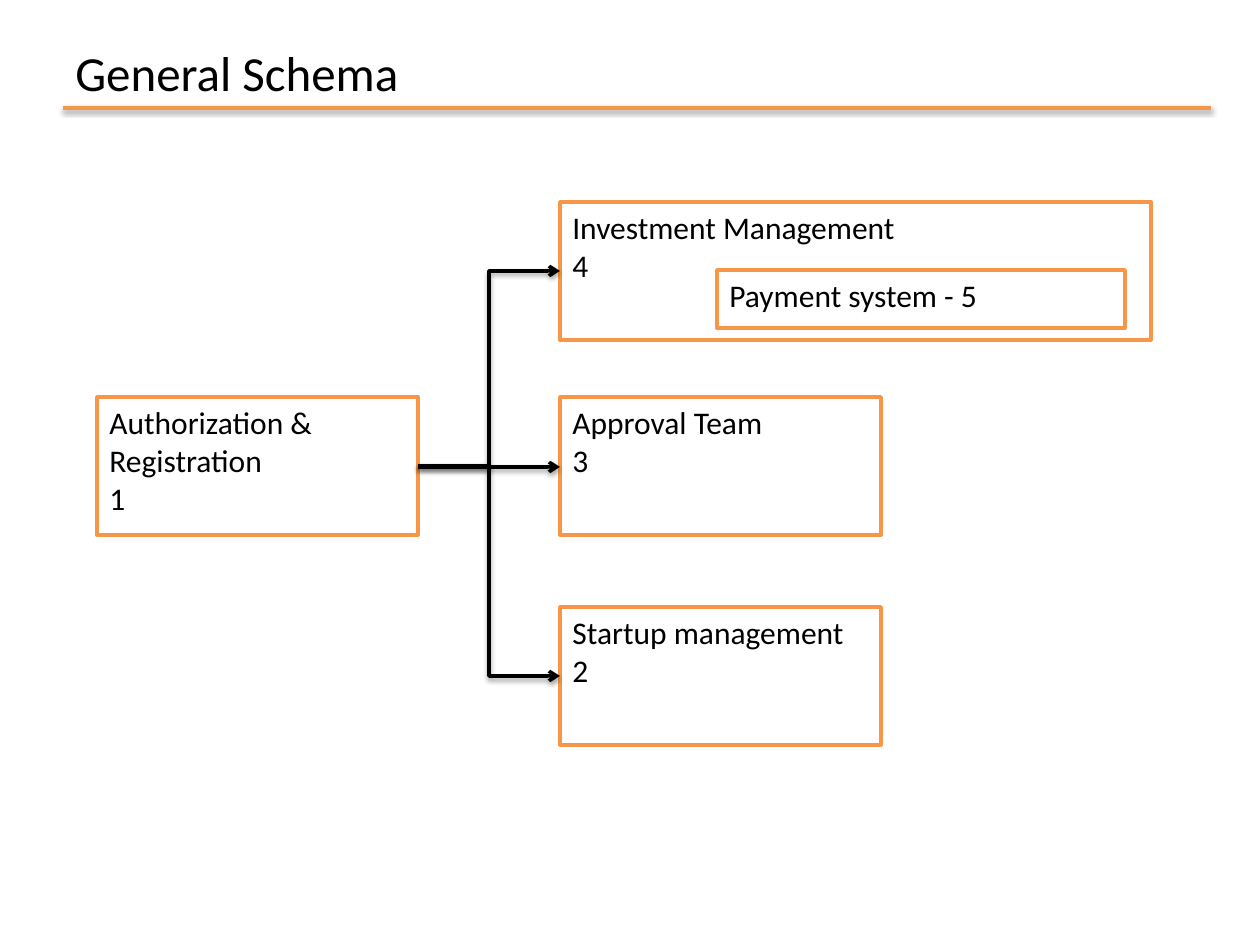
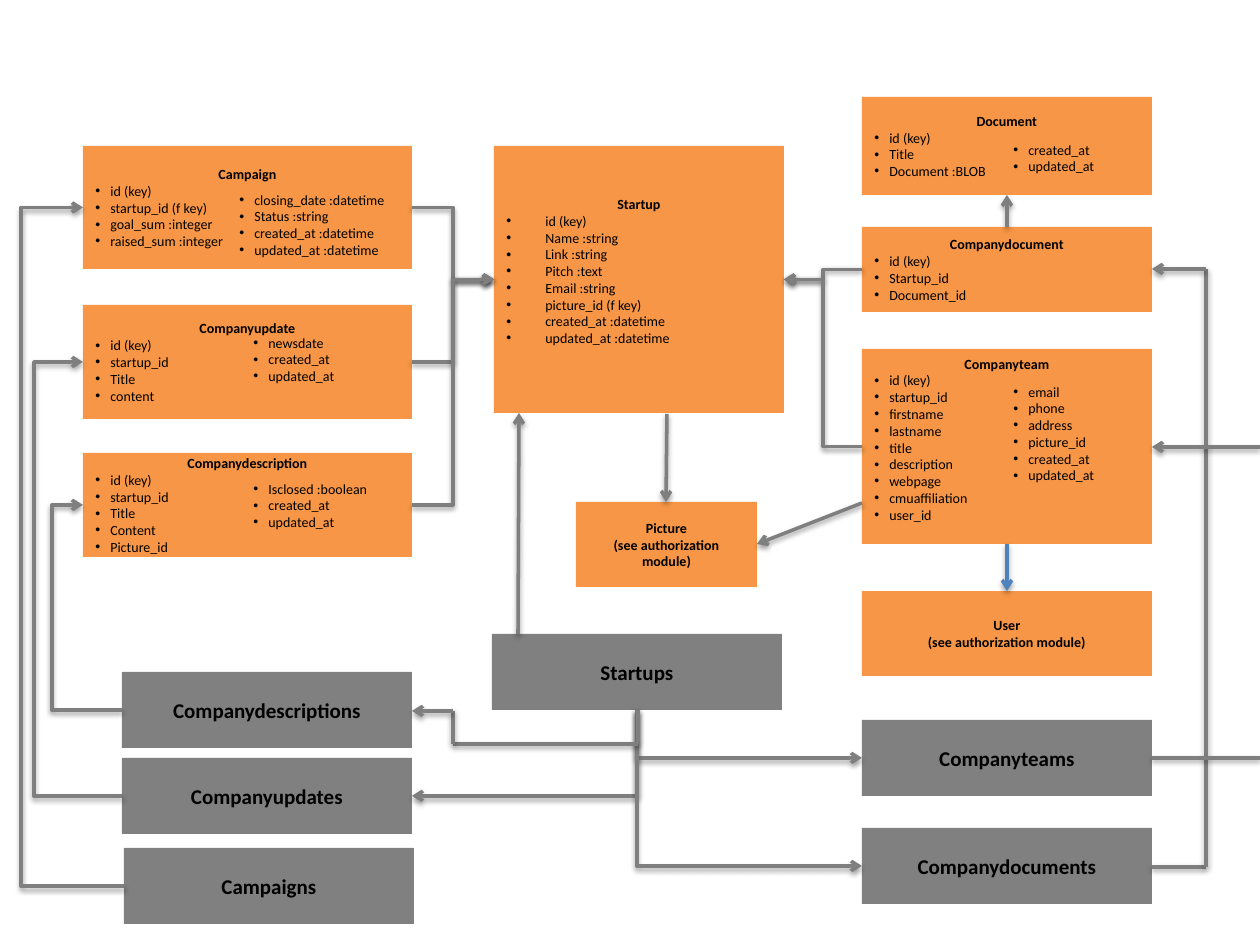
from pptx import Presentation
from pptx.dml.color import RGBColor
from pptx.enum.shapes import MSO_CONNECTOR as CONN, MSO_SHAPE as SHAPE
from pptx.enum.text import MSO_ANCHOR as ANCHOR, PP_ALIGN as ALIGN
from pptx.oxml import parse_xml
from pptx.oxml.ns import nsdecls, qn
from pptx.util import Pt

SCALE = 914400 // 126
ORANGE, GRAY, LINE_GRAY, BLUE, BLACK = "F79646", "808080", "7F7F7F", "4F81BD", "000000"
FONT = "Calibri"
LINE_H, PAD = 17, 6
TOP, LEFT, BOTTOM, RIGHT = range(4)

MODULES = {
    "auth": (97, 397, 321, ["Authorization & Registration", "1"]),
    "investment": (560, 202, 591, ["Investment Management", "4"]),
    "approval": (560, 397, 321, ["Approval Team", "3"]),
    "startup": (560, 607, 321, ["Startup management", "2"]),
}

ENTITIES = {
    "Campaign": (83, 146, 329, 123, ["id (key)", "startup_id (f key)", "goal_sum :integer",
                                     "raised_sum :integer"]),
    "Companyupdate": (83, 305, 329, 114, ["id (key)", "startup_id", "Title", "content"]),
    "Companydescription": (83, 453, 329, 104, ["id (key)", "startup_id", "Title", "Content",
                                               "Picture_id"]),
    "Document": (862, 97, 290, 98, ["id (key)", "Title", "Document :BLOB"]),
    "Companydocument": (862, 227, 290, 85, ["id (key)", "Startup_id", "Document_id"]),
    "Companyteam": (862, 349, 290, 195, ["id (key)", "startup_id", "firstname", "lastname",
                                         "title", "description", "webpage",
                                         "cmuaffiliation", "user_id"]),
}

SECOND_COLUMNS = [
    (227, 185, 174, ["closing_date :datetime", "Status :string", "created_at :datetime",
                     "updated_at :datetime"]),
    (241, 328, 171, ["newsdate", "created_at", "updated_at"]),
    (241, 474, 171, ["Isclosed :boolean", "created_at", "updated_at"]),
    (1001, 135, 151, ["created_at", "updated_at"]),
    (1001, 377, 151, ["email", "phone", "address", "picture_id", "created_at", "updated_at"]),
]

STARTUP_FIELDS = ["id (key)", "Name :string", "Link :string", "Pitch :text", "Email :string",
                  "picture_id (f key)", "created_at :datetime", "updated_at :datetime"]

CONTROLLERS = {
    "Startups": (492, 634),
    "Companydescriptions": (122, 672),
    "Companyupdates": (122, 758),
    "Campaigns": (124, 848),
    "Companyteams": (862, 720),
    "Companydocuments": (862, 828),
}


def px(n):
    """Turn picture pixels into EMU."""
    return int(n * SCALE)


def rgb(value):
    """Turn a hex string into a colour."""
    return RGBColor.from_string(value)


def add_line(tf, text, size, bold=False, align=ALIGN.LEFT, indent=0):
    """Append one paragraph, bulleted when it has an indent."""
    p = tf.paragraphs[0] if not tf.text else tf.add_paragraph()
    p.alignment = align
    r = p.add_run()
    r.text = text
    r.font.name, r.font.size, r.font.bold = FONT, Pt(size), bold
    r.font.color.rgb = rgb(BLACK)
    if indent:
        pPr = p._p.get_or_add_pPr()
        pPr.set("marL", str(px(indent)))
        pPr.set("indent", str(-px(indent)))
        pPr.append(parse_xml(f'<a:buFont {nsdecls("a")} typeface="Arial"/>'))
        pPr.append(parse_xml(f'<a:buChar {nsdecls("a")} char="•"/>'))


def add_box(s, x, y, w, h, fill=None, line=None):
    """Add a plain rectangle with a fill or an outline."""
    sp = s.shapes.add_shape(SHAPE.RECTANGLE, px(x), px(y), px(w), px(h))
    sp.shadow.inherit = False
    if fill:
        sp.fill.solid()
        sp.fill.fore_color.rgb = rgb(fill)
    else:
        sp.fill.background()
    if line:
        sp.line.color.rgb = rgb(line)
        sp.line.width = Pt(2)
    else:
        sp.line.fill.background()
    sp.text_frame.word_wrap = True
    sp.text_frame.vertical_anchor = ANCHOR.MIDDLE
    return sp


def add_text(s, x, y, w, h):
    """Add an empty wrapping text box and return its frame."""
    tf = s.shapes.add_textbox(px(x), px(y), px(w), px(h)).text_frame
    tf.word_wrap = True
    return tf


def add_module(s, x, y, w, lines, h=138):
    """Add an outlined box with text from the top."""
    sp = add_box(s, x, y, w, h, line=ORANGE)
    sp.text_frame.vertical_anchor = ANCHOR.TOP
    for text in lines:
        add_line(sp.text_frame, text, 18)
    return sp


def add_entity(s, name, x, y, w, h, fields, indent=15):
    """Add an orange box with a heading and bulleted fields."""
    sp = add_box(s, x, y, w, h, fill=ORANGE)
    add_line(sp.text_frame, name, 8, True, ALIGN.CENTER)
    for field in fields:
        add_line(sp.text_frame, field, 8, indent=indent)
    return sp


def add_column(s, x, y, w, fields):
    """Add a free column of bulleted fields."""
    tf = add_text(s, x, y, w, LINE_H * len(fields) + 2 * PAD)
    for field in fields:
        add_line(tf, field, 8, indent=15)


def add_reference(s, name, note, x, y, w):
    """Add an orange box that points to another module."""
    sp = add_box(s, x, y, w, 85, fill=ORANGE)
    for text in (name, note):
        add_line(sp.text_frame, text, 8, True, ALIGN.CENTER)
    return sp


def add_controller(s, name, x, y):
    """Add a gray box with a bold centred name."""
    sp = add_box(s, x, y, 290, 76, fill=GRAY)
    add_line(sp.text_frame, name, 12, True, ALIGN.CENTER)
    return sp


def style_line(cxn, color, arrow):
    """Give a connector its colour, shadow and arrowhead."""
    cxn.line.color.rgb = rgb(color)
    cxn.line.width = Pt(2)
    if arrow:
        ln = cxn.get_or_add_ln()
        ln.append(parse_xml(f'<a:{arrow} {nsdecls("a")} type="arrow"/>'))
    cxn._element.spPr.append(parse_xml(
        f'<a:effectLst {nsdecls("a")}><a:outerShdw blurRad="{Pt(3.1)}" dist="{Pt(1.6)}" '
        'dir="5400000" rotWithShape="0"><a:srgbClr val="000000"><a:alpha val="38000"/>'
        '</a:srgbClr></a:outerShdw></a:effectLst>'))


def add_straight(s, start, end, color=LINE_GRAY, arrow="tailEnd"):
    """Add a straight line between two points."""
    cxn = s.shapes.add_connector(CONN.STRAIGHT, *map(px, start + end))
    style_line(cxn, color, arrow)


def add_route(s, points):
    """Join points by straight lines, with an arrow on the last."""
    for i, (start, end) in enumerate(zip(points, points[1:]), 2):
        add_straight(s, start, end, arrow="tailEnd" if i == len(points) else None)


def glue(s, a, a_side, b, b_side, color, arrow="tailEnd"):
    """Add an elbow connector glued to the sides of two boxes."""
    cxn = s.shapes.add_connector(CONN.ELBOW, 0, 0, 0, 0)
    cxn.begin_connect(a, a_side)
    cxn.end_connect(b, b_side)
    style_line(cxn, color, arrow)
    return cxn


def add_loop(s, a, b, via):
    """Link the left sides of two boxes round a given x."""
    cxn = glue(s, a, LEFT, b, LEFT, LINE_GRAY)
    ratio = (px(via) - cxn.begin_x) / (cxn.end_x - cxn.begin_x)
    geom = cxn._element.spPr.find(qn("a:prstGeom"))
    geom.find(qn("a:avLst")).append(parse_xml(
        f'<a:gd {nsdecls("a")} name="adj1" fmla="val {round(ratio * 100000)}"/>'))


def add_corner(s, target, side, source):
    """Link the bottom of a source to a side of a target with one corner."""
    cxn = glue(s, target, side, source, BOTTOM, LINE_GRAY, "headEnd")
    cxn._element.spPr.find(qn("a:prstGeom")).set("prst", "bentConnector2")


def build_schema(s):
    """Build the overview of modules."""
    add_line(add_text(s, 63, 36, 407, 72), "General Schema", 28)
    boxes = {key: add_module(s, *spec) for key, spec in MODULES.items()}
    add_module(s, 717, 270, 408, ["Payment system - 5"], 58)
    for key in ("investment", "startup"):
        glue(s, boxes["auth"], RIGHT, boxes[key], LEFT, BLACK)
    add_straight(s, (418, 467), (560, 467), BLACK)
    add_straight(s, (63, 108), (1211, 108), ORANGE, None)


def build_startup_module(s):
    """Build the entities and controllers of the startup module."""
    e = {name: add_entity(s, name, *spec) for name, spec in ENTITIES.items()}
    startup = add_entity(s, "Startup", 494, 146, 290, 267, STARTUP_FIELDS, 39)
    startup.text_frame.margin_bottom = px(PAD + LINE_H)
    e["Companyteam"].text_frame.vertical_anchor = ANCHOR.TOP
    for column in SECOND_COLUMNS:
        add_column(s, *column)
    note = "(see authorization module)"
    add_reference(s, "Picture", note, 576, 502, 181)
    add_reference(s, "User", note, 862, 591, 290)
    c = {name: add_controller(s, name, *at) for name, at in CONTROLLERS.items()}

    for name in ("Campaign", "Companyupdate", "Companydescription"):
        glue(s, e[name], RIGHT, startup, LEFT, LINE_GRAY)
    for name in ("Companydocument", "Companyteam"):
        glue(s, e[name], LEFT, startup, RIGHT, LINE_GRAY)
    for name, via in (("Campaign", 21), ("Companyupdate", 34), ("Companydescription", 52)):
        add_loop(s, c[name + "s"], e[name], via)
    for name, side in (("Companyupdates", RIGHT), ("Companyteams", LEFT),
                       ("Companydocuments", LEFT)):
        add_corner(s, c[name], side, c["Startups"])

    add_route(s, [(638, 710), (638, 744), (453, 744), (453, 711), (412, 711)])
    add_route(s, [(1152, 867), (1206, 867), (1206, 269), (1152, 269)])
    add_straight(s, (1152, 758), (1260, 758), arrow=None)
    add_straight(s, (1260, 447), (1152, 447))
    add_straight(s, (518, 634), (519, 413))
    add_straight(s, (667, 414), (666, 502))
    add_straight(s, (862, 503), (757, 544))
    add_straight(s, (1007, 227), (1007, 195))
    add_straight(s, (1007, 544), (1007, 591), BLUE)


def main():
    """Build and save the presentation."""
    prs = Presentation()
    prs.slide_width, prs.slide_height = px(1260), px(945)
    for build in (build_schema, build_startup_module):
        build(prs.slides.add_slide(prs.slide_layouts[6]))
    prs.save("out.pptx")


main()
